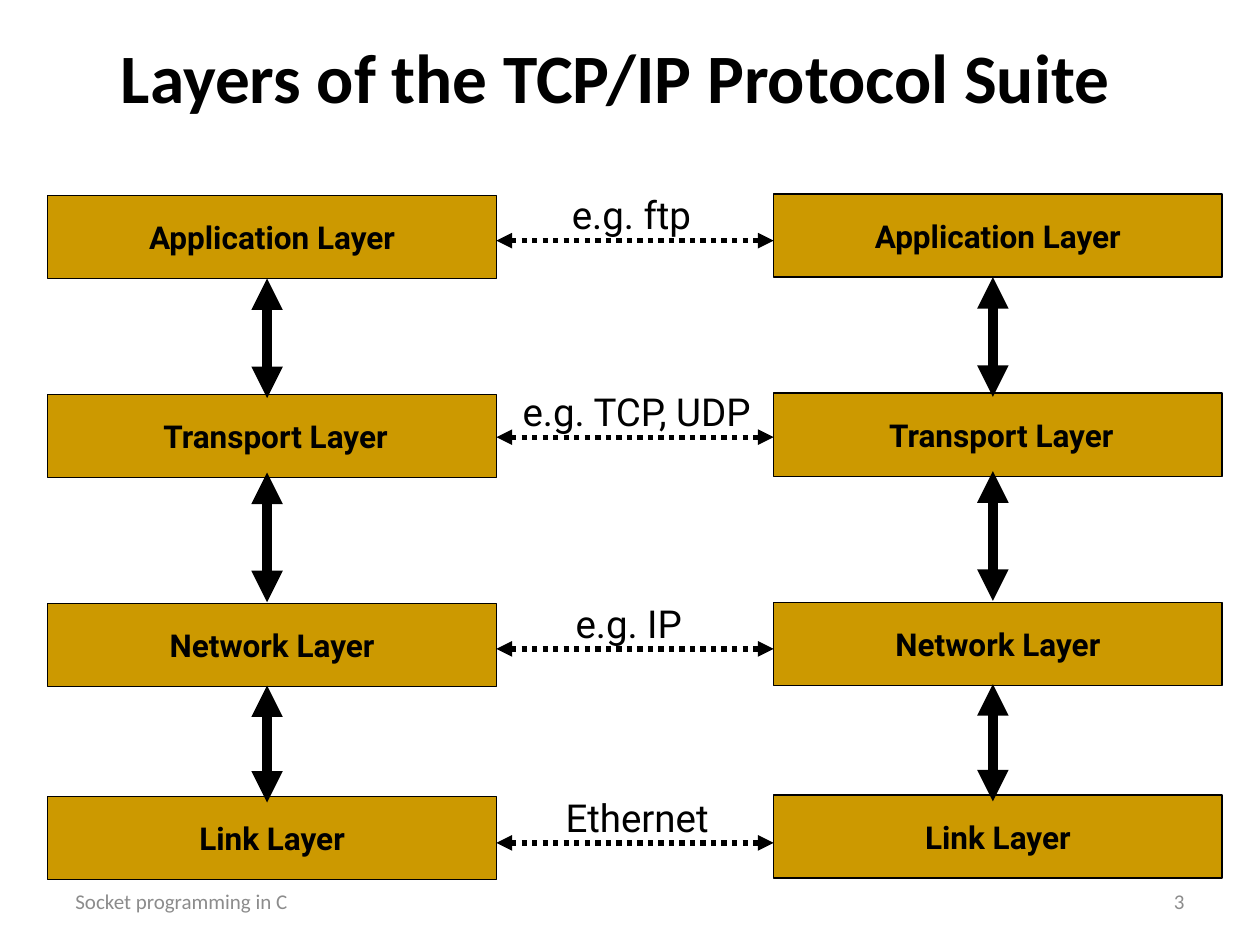
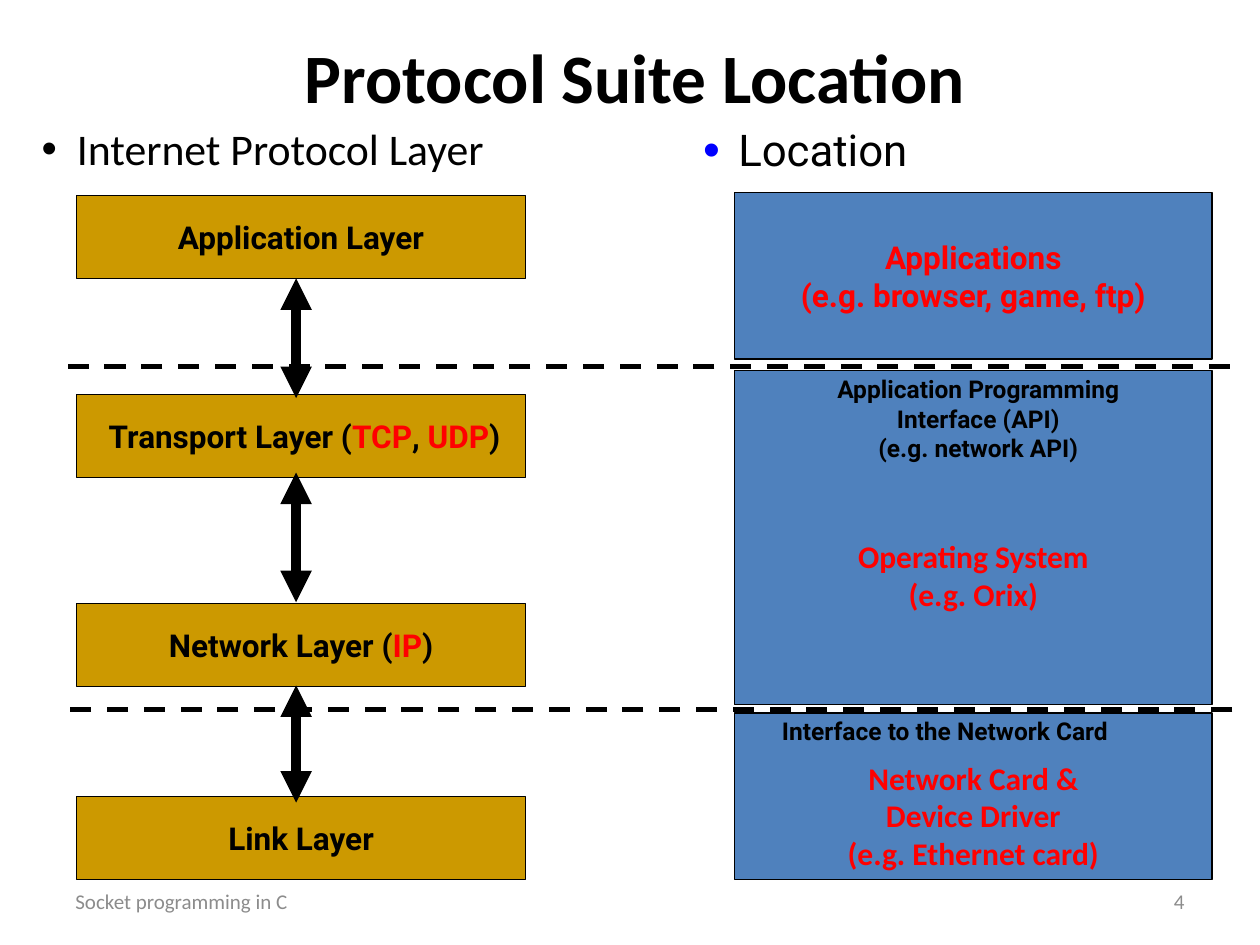
from lxml import etree
from pptx import Presentation
from pptx.dml.color import RGBColor
from pptx.enum.dml import MSO_LINE
from pptx.enum.shapes import MSO_CONNECTOR, MSO_SHAPE
from pptx.enum.text import MSO_ANCHOR, MSO_AUTO_SIZE, PP_ALIGN
from pptx.oxml.ns import qn
from pptx.util import Inches, Pt

BLACK = RGBColor(0x00, 0x00, 0x00)
GREY = RGBColor(0x8C, 0x8C, 0x8C)
RED = RGBColor(0xFF, 0x00, 0x00)
BLUE = RGBColor(0x00, 0x00, 0xFF)
GOLD = RGBColor(0xCC, 0x99, 0x00)
STEEL = RGBColor(0x4F, 0x81, 0xBD)

HEADING_FONT, LABEL_FONT = "Calibri", "Roboto"
LEFT, CENTER, RIGHT = PP_ALIGN.LEFT, PP_ALIGN.CENTER, PP_ALIGN.RIGHT
TOP, MIDDLE = MSO_ANCHOR.TOP, MSO_ANCHOR.MIDDLE
DOTTED, DASHED = MSO_LINE.ROUND_DOT, MSO_LINE.DASH
RECTANGLE, STRAIGHT = MSO_SHAPE.RECTANGLE, MSO_CONNECTOR.STRAIGHT
NO_AUTOFIT = MSO_AUTO_SIZE.NONE

STACK_TOP = 1.55
LAYER_W, LAYER_H = 3.56, 0.66
LAYER_OFFSETS = (0, 1.58, 3.24, 4.77)
ARROW_SPANS = ((0.66, 1.61), (2.2, 3.23), (3.89, 4.82))
LAYERS = ("Application Layer", " Transport Layer", "Network Layer", "Link Layer")


def place(shape, left, top, width, height):
    shape.left, shape.top = Inches(left), Inches(top)
    shape.width, shape.height = Inches(width), Inches(height)


def add_run(p, text, size, font, color=BLACK, bold=False):
    r = p.add_run()
    r.text = text
    r.font.size = Pt(size)
    r.font.name = font
    r.font.bold = bold
    r.font.color.rgb = color


def write_lines(tf, lines, size, font, color=BLACK, bold=False, align=LEFT):
    for i, line in enumerate(lines):
        p = tf.add_paragraph() if i else tf.paragraphs[0]
        p.alignment = align
        runs = [(line, color)] if isinstance(line, str) else line
        for text, run_color in runs:
            add_run(p, text, size, font, run_color, bold)


def add_text(s, box, lines, size, font, color=BLACK, bold=False,
             align=LEFT, anchor=TOP, wrap=True):
    tb = s.shapes.add_textbox(0, 0, 0, 0)
    place(tb, *box)
    tf = tb.text_frame
    tf.word_wrap = wrap
    tf.vertical_anchor = anchor
    write_lines(tf, lines, size, font, color, bold, align)


def add_box(s, box, fill, lines, font=LABEL_FONT, color=BLACK, text_drop=0):
    sp = s.shapes.add_shape(RECTANGLE, 0, 0, 0, 0)
    place(sp, *box)
    sp.shadow.inherit = False
    sp.fill.solid()
    sp.fill.fore_color.rgb = fill
    sp.line.color.rgb = BLACK
    sp.line.width = Pt(0.75)
    tf = sp.text_frame
    tf.word_wrap = False
    tf.vertical_anchor = MIDDLE
    tf.margin_top = Inches(0.05 + text_drop)
    write_lines(tf, lines, 18, font, color, True, CENTER)


def add_line(s, x1, y1, x2, y2, width, dash=None, arrows=False):
    cx = s.shapes.add_connector(STRAIGHT, Inches(x1), Inches(y1),
                                Inches(x2), Inches(y2))
    cx.line.color.rgb = BLACK
    cx.line.width = Pt(width)
    if dash:
        cx.line.dash_style = dash
    sp_pr = cx._element.spPr
    if arrows:
        ln = sp_pr.find(qn("a:ln"))
        for end in ("a:headEnd", "a:tailEnd"):
            etree.SubElement(ln, qn(end), type="triangle")
    etree.SubElement(sp_pr, qn("a:effectLst"))


def add_title(s, text, left, width):
    title = s.shapes.title
    place(title, left, 0.33, width, 0.55)
    tf = title.text_frame
    tf.auto_size = NO_AUTOFIT
    tf.vertical_anchor = MIDDLE
    write_lines(tf, [text], 39.6, HEADING_FONT, bold=True, align=CENTER)


def add_footer(s, number):
    style = dict(size=12, font=HEADING_FONT, color=GREY, anchor=MIDDLE)
    add_text(s, (0.5, 6.95, 2.33, 0.4), ["Socket programming in C"], **style)
    add_text(s, (7.17, 6.95, 2.33, 0.4), [str(number)], align=RIGHT, **style)


def add_bullet(ph, box, text, font, bullet_color=BLACK, bullet_percent=100):
    place(ph, *box)
    tf = ph.text_frame
    tf.auto_size = NO_AUTOFIT
    write_lines(tf, [text], 25, font)
    p = tf.paragraphs[0]
    p.line_spacing = 0.9
    p.space_before = Pt(5)
    pPr = p._p.get_or_add_pPr()
    pPr.set("marL", str(Inches(0.28)))
    pPr.set("indent", str(-Inches(0.28)))
    color = etree.SubElement(pPr, qn("a:buClr"))
    etree.SubElement(color, qn("a:srgbClr"), val=str(bullet_color))
    etree.SubElement(pPr, qn("a:buSzPct"), val=str(bullet_percent * 1000))
    etree.SubElement(pPr, qn("a:buChar"), char="•")


def add_layer_stack(s, left, top, layers):
    for offset, layer in zip(LAYER_OFFSETS, layers):
        add_box(s, (left, top + offset, LAYER_W, LAYER_H), GOLD, [layer])
    x = left + 1.74
    for start, end in ARROW_SPANS:
        add_line(s, x, top + start, x, top + end, 6, arrows=True)


def add_peer_links(s, left, right):
    links = (
        ("e.g. ftp", 1.91, 0.5, 1.19),
        ("e.g. TCP, UDP", 3.47, 0.11, 2.07),
        ("e.g. IP", 5.15, 0.53, 1.1),
        ("Ethernet", 6.69, 0.45, 1.36),
    )
    for protocol, y, indent, width in links:
        add_line(s, left, y, right, y, 3, DOTTED, arrows=True)
        add_text(s, (left + indent, y - 0.44, width, 0.47), [protocol],
                 22, LABEL_FONT, wrap=False)


def add_locations(s, left, width):
    add_box(s, (left, 5.66, width, 1.32), STEEL,
            ["Network Card &", "Device Driver", "(e.g. Ethernet card)"],
            HEADING_FONT, RED, text_drop=0.3)
    add_box(s, (left, 2.94, width, 2.65), STEEL,
            ["Operating System", "(e.g. Orix)"],
            HEADING_FONT, RED, text_drop=0.6)
    add_box(s, (left, 1.53, width, 1.32), STEEL,
            ["Applications", "(e.g. browser, game, ftp)"], color=RED)
    add_text(s, (left, 2.92, 3.87, 0.81),
             ["Application Programming", "Interface (API)", "(e.g. network API)"],
             14, LABEL_FONT, bold=True, align=CENTER)
    add_text(s, (left + 0.23, 5.63, 3.33, 0.34), [" Interface to the Network Card"],
             14, LABEL_FONT, bold=True)


def add_boundaries(s):
    for left, y in ((0.52, 2.91), (0.54, 5.63)):
        add_line(s, left + 9.24, y, left, y, 3, DASHED)


def build_layers_slide(prs):
    s = prs.slides.add_slide(prs.slide_layouts[5])
    add_footer(s, 3)
    add_title(s, "Layers of the TCP/IP Protocol Suite", 0, 9.77)
    left, right = 0.38, 6.14
    add_layer_stack(s, left, STACK_TOP, LAYERS)
    add_layer_stack(s, right, STACK_TOP - 0.01, LAYERS)
    add_peer_links(s, left + LAYER_W, right)


def build_location_slide(prs):
    s = prs.slides.add_slide(prs.slide_layouts[3])
    add_footer(s, 4)
    add_title(s, "Protocol Suite Location", 0, 10.08)
    add_bullet(s.placeholders[1], (0.23, 0.96, 4.62, 0.63),
               "Internet Protocol Layer", HEADING_FONT)
    add_bullet(s.placeholders[2], (5.48, 0.97, 4.52, 0.54),
               "Location", LABEL_FONT, BLUE, 110)
    application, transport, network, link = LAYERS
    add_layer_stack(s, 0.61, STACK_TOP, (
        application,
        [(transport + " (", BLACK), ("TCP", RED), (", ", BLACK),
         ("UDP", RED), (")", BLACK)],
        [(network + " (", BLACK), ("IP", RED), (")", BLACK)],
        link,
    ))
    add_locations(s, 5.83, 3.79)
    add_boundaries(s)


def main():
    prs = Presentation()
    prs.slide_width, prs.slide_height = Inches(10), Inches(7.5)
    build_layers_slide(prs)
    build_location_slide(prs)
    prs.save("out.pptx")


if __name__ == "__main__":
    main()
